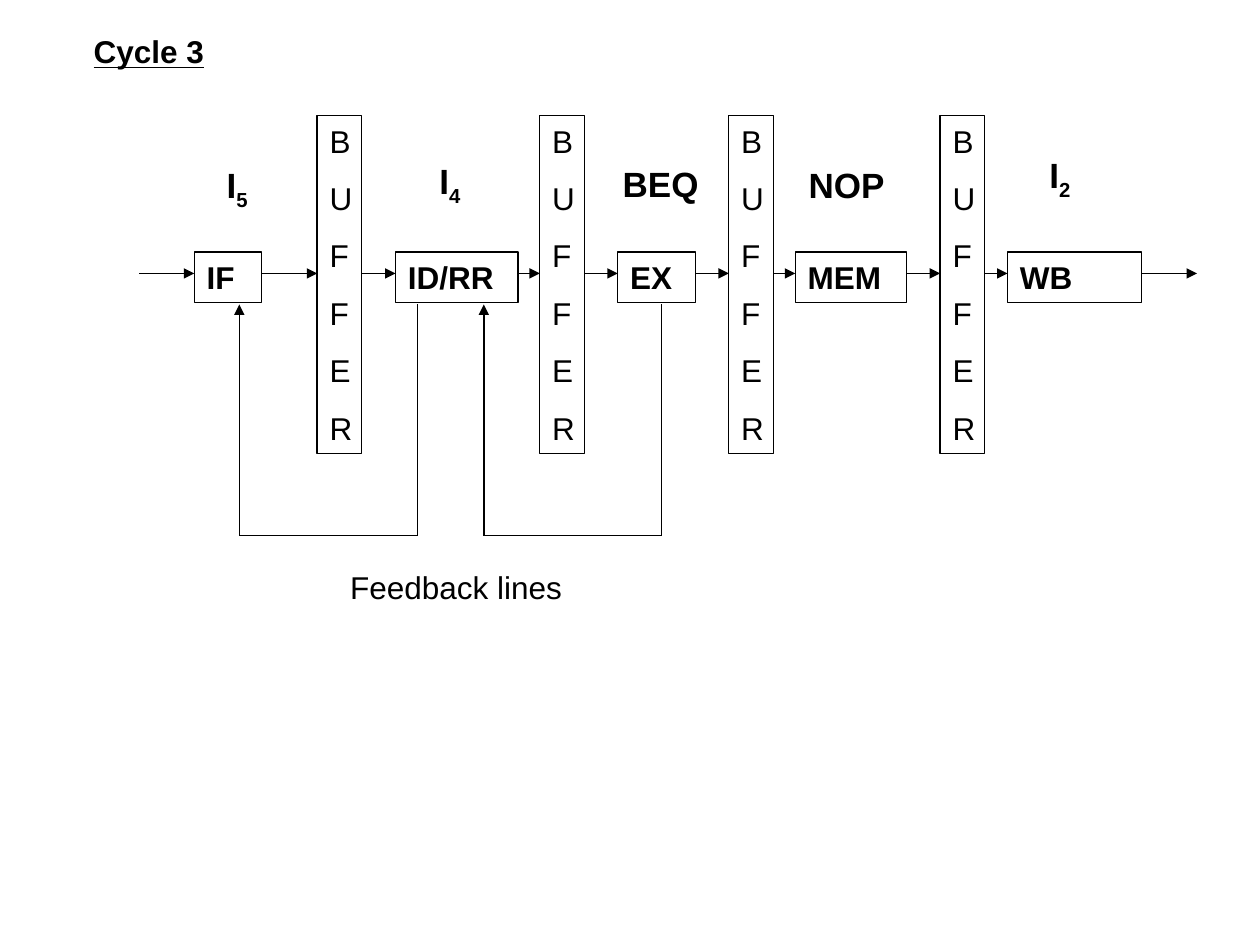
from itertools import pairwise

from lxml import etree
from pptx import Presentation
from pptx.dml.color import RGBColor
from pptx.enum.shapes import MSO_CONNECTOR, MSO_SHAPE
from pptx.enum.text import MSO_ANCHOR, MSO_AUTO_SIZE, PP_ALIGN
from pptx.oxml.ns import qn
from pptx.util import Pt

STRAIGHT = MSO_CONNECTOR.STRAIGHT
RECTANGLE = MSO_SHAPE.RECTANGLE
TOP, LEFT = MSO_ANCHOR.TOP, PP_ALIGN.LEFT
GROW = MSO_AUTO_SIZE.SHAPE_TO_FIT_TEXT

INK = "000000"
FONT = "Arial"

# Pipeline from left to right: text, left, width
BUFFER = "BUFFER"
BUFFER_WIDTH = 25.5
PIPELINE = [
    ("IF", 111, 38.5),
    (BUFFER, 181.25, BUFFER_WIDTH),
    ("ID/RR", 226, 70),
    (BUFFER, 308.5, BUFFER_WIDTH),
    ("EX", 353, 44.5),
    (BUFFER, 416.5, BUFFER_WIDTH),
    ("MEM", 454.5, 63.5),
    (BUFFER, 537.25, BUFFER_WIDTH),
    ("WB", 575.75, 76.5),
]
STAGE_TOP, STAGE_HEIGHT = 144, 28.8
BUFFER_TOP, BUFFER_HEIGHT = 66, 193
FLOW_Y, FLOW_START, FLOW_END = 156.25, 79.5, 684

# Text, subscript, left, top, width, height, wrap
INSTRUCTIONS = [
    ("I", "5", 122.4, 90, 27.4, 34.6, True),
    ("I", "4", 244, 87.8, 27.4, 34.6, False),
    ("BEQ", "", 348.75, 89.3, 58, 31.7, False),
    ("NOP", "", 455, 90, 82.8, 31.7, True),
    ("I", "2", 592.6, 84.2, 27.4, 34.6, True),
]

# Where each feedback line leaves a stage, and where it returns
FEEDBACK = [(378, 276.5), (238.5, 136.75)]
FEEDBACK_TOP, FEEDBACK_BOTTOM = 174, 306


def color(value):
    return RGBColor.from_string(value)


def add_run(paragraph, text, size, bold=False, underline=False, subscript=False):
    run = paragraph.add_run()
    run.text = text
    font = run.font
    font.name, font.size = FONT, Pt(size)
    font.bold, font.underline = bold, underline
    font.color.rgb = color(INK)
    if subscript:
        run._r.get_or_add_rPr().set("baseline", "-25000")


def add_box(slide, lines, left, top, width, height, bold):
    """Outlined rectangle with one paragraph for each line."""
    box = slide.shapes.add_shape(RECTANGLE, Pt(left), Pt(top), Pt(width), Pt(height))
    box.shadow.inherit = False
    box.fill.background()
    box.line.color.rgb = color(INK)
    box.line.width = Pt(0.75)
    frame = box.text_frame
    frame.word_wrap = True
    frame.vertical_anchor = TOP
    for index, line in enumerate(lines):
        paragraph = frame.add_paragraph() if index else frame.paragraphs[0]
        paragraph.alignment = LEFT
        paragraph.space_before = Pt(11.2)
        add_run(paragraph, line, 18, bold)


def add_label(slide, left, top, width, height, wrap=False):
    """Text box whose empty first paragraph is returned."""
    label = slide.shapes.add_textbox(Pt(left), Pt(top), Pt(width), Pt(height))
    label.text_frame.word_wrap = wrap
    label.text_frame.auto_size = GROW
    paragraph = label.text_frame.paragraphs[0]
    paragraph.alignment = LEFT
    return paragraph


def add_line(slide, start, end, arrow=False):
    points = [Pt(value) for value in (*start, *end)]
    connector = slide.shapes.add_connector(STRAIGHT, *points)
    connector.line.color.rgb = color(INK)
    connector.line.width = Pt(0.75)
    if arrow:
        line = connector.line._get_or_add_ln()
        etree.SubElement(line, qn("a:tailEnd"), type="triangle")
    etree.SubElement(connector._element.spPr, qn("a:effectLst"))


def main():
    presentation = Presentation()
    presentation.slide_width, presentation.slide_height = Pt(720), Pt(540)
    slide = presentation.slides.add_slide(presentation.slide_layouts[6])

    for text, left, width in PIPELINE:
        if text == BUFFER:
            add_box(slide, list(text), left, BUFFER_TOP, width, BUFFER_HEIGHT, False)
        else:
            add_box(slide, [text], left, STAGE_TOP, width, STAGE_HEIGHT, True)

    edges = [(FLOW_START, FLOW_START)]
    edges += [(left, left + width) for _, left, width in PIPELINE]
    edges.append((FLOW_END, FLOW_END))
    for (_, start), (end, _) in pairwise(edges):
        add_line(slide, (start, FLOW_Y), (end, FLOW_Y), arrow=True)

    for start, end in FEEDBACK:
        corners = [(start, FEEDBACK_TOP), (start, FEEDBACK_BOTTOM),
                   (end, FEEDBACK_BOTTOM), (end, FEEDBACK_TOP)]
        for index, (here, there) in enumerate(pairwise(corners)):
            add_line(slide, here, there, arrow=index == 2)

    for text, subscript, *place in INSTRUCTIONS:
        paragraph = add_label(slide, *place)
        add_run(paragraph, text, 20, bold=True)
        if subscript:
            add_run(paragraph, subscript, 20, bold=True, subscript=True)

    add_run(add_label(slide, 193, 321, 135.4, 28.8), "Feedback lines", 18)
    add_run(add_label(slide, 46.5, 15, 78, 28.8), "Cycle 3", 18, bold=True, underline=True)

    presentation.save("out.pptx")


if __name__ == "__main__":
    main()
